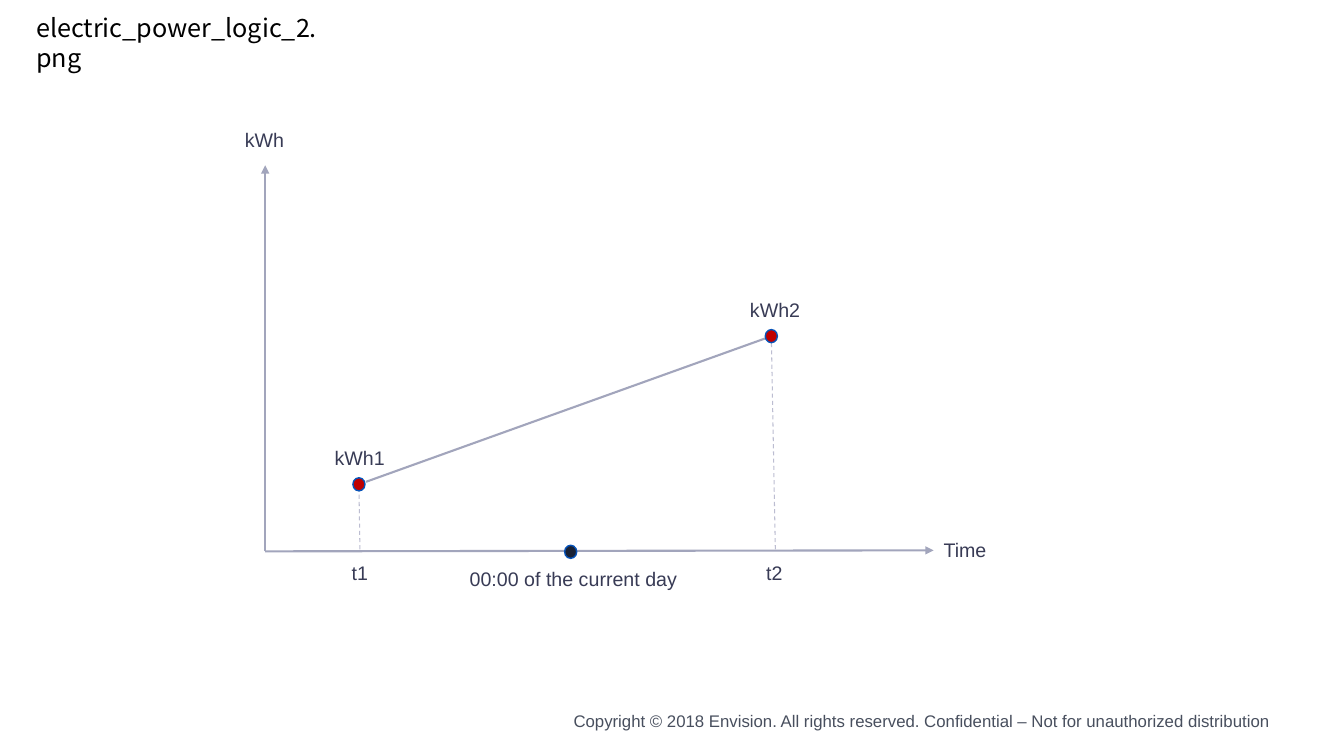
from pptx import Presentation
from pptx.dml.color import RGBColor
from pptx.enum.dml import MSO_LINE
from pptx.enum.shapes import MSO_CONNECTOR, MSO_SHAPE
from pptx.enum.text import MSO_AUTO_SIZE as AutoSize, PP_ALIGN as Align
from pptx.oxml.ns import qn
from pptx.util import Pt
from lxml.etree import SubElement

PX = 9144


def rgb(value):
    return RGBColor.from_string(value)


class Chart:
    axis_color = "A2A5BC"
    guide_color = "BCBDD1"
    label_color = "383B55"
    ring_color = "0652B8"
    dot_size = (12, 13)

    def __init__(self, slide):
        self.shapes = slide.shapes

    def text(self, words, left, top, width, height=34, size=14,
             color=label_color, font="Arial", align=Align.LEFT):
        box = self.shapes.add_textbox(*(v * PX for v in (left, top, width, height)))
        frame = box.text_frame
        frame.word_wrap = True
        frame.auto_size = AutoSize.SHAPE_TO_FIT_TEXT
        paragraph = frame.paragraphs[0]
        paragraph.alignment = align
        run = paragraph.add_run()
        run.text = words
        for key, value in {"name": font, "size": Pt(size)}.items():
            setattr(run.font, key, value)
        run.font.color.rgb = rgb(color)

    def line(self, start, end, color=axis_color, weight=1.5, dash=None, arrow=False):
        link = self.shapes.add_connector(
            MSO_CONNECTOR.STRAIGHT, *(v * PX for v in (*start, *end)))
        link.line.color.rgb = rgb(color)
        for key, value in {"width": Pt(weight), "dash_style": dash}.items():
            setattr(link.line, key, value)
        properties = link._element.spPr
        if arrow:
            SubElement(properties.find(qn("a:ln")), qn("a:tailEnd"), type="triangle")
        SubElement(properties, qn("a:effectLst"))

    def guide(self, start, end):
        self.line(start, end, self.guide_color, 0.75, MSO_LINE.DASH)

    def dot(self, left, top, color):
        mark = self.shapes.add_shape(
            MSO_SHAPE.OVAL, *(v * PX for v in (left, top, *self.dot_size)))
        mark.shadow.inherit = False
        mark.fill.solid()
        mark.fill.fore_color.rgb = rgb(color)
        mark.line.color.rgb = rgb(self.ring_color)
        mark.line.width = Pt(1)


def main():
    deck = Presentation()
    deck.slide_width, deck.slide_height = 1333 * PX, 750 * PX
    chart = Chart(deck.slides.add_slide(deck.slide_layouts[6]))

    chart.text("Copyright © 2018 Envision. All rights reserved. "
               "Confidential – Not for unauthorized distribution",
               487, 700, 783, 30, size=12, color="484F5E", align=Align.RIGHT)
    chart.text("electric_power_logic_2.png", 26, 7, 310, 40,
               size=18, color="000000", font="Noto Sans CJK SC")

    origin = (263, 547)
    chart.line((363, 478), (761, 335))
    for axis_end in ((926, 546), (263, 164)):
        chart.line(origin, axis_end, arrow=True)

    for label, left, top, width in (
        ("Time", 926, 529, 113),
        ("t1", 339, 552, 113),
        ("kWh", 233, 122, 113),
        ("t2", 750, 552, 113),
        ("kWh2", 734, 291, 113),
        ("00:00 of the current day", 456, 558, 371),
        ("kWh1", 322, 437, 113),
    ):
        chart.text(label, left, top, width)

    for foot, reading in (((357, 545), (356, 480)), ((769, 545), (765, 333))):
        chart.guide(foot, reading)

    for left, top, color in (
        (350, 474, "C00000"), (759, 327, "C00000"), (560, 541, "192236"),
    ):
        chart.dot(left, top, color)

    deck.save("out.pptx")


if __name__ == "__main__":
    main()
